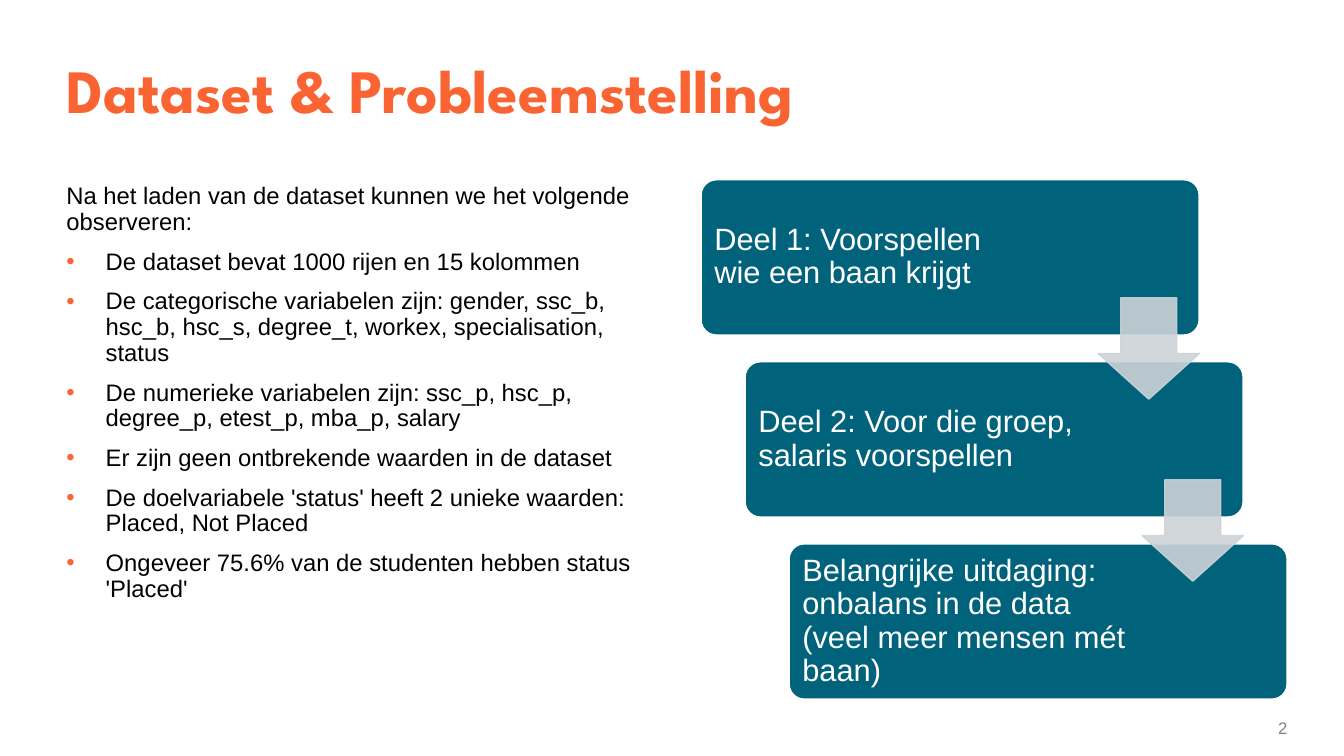
from lxml import etree
from pptx import Presentation, util as u
from pptx.dml.color import RGBColor
from pptx.enum import shapes, text
from pptx.oxml.ns import qn

ORANGE = RGBColor(0xFA, 0x64, 0x32)
TEAL = RGBColor(0x00, 0x62, 0x7B)
SILVER = RGBColor(0xCC, 0xD3, 0xD7)
GRAY = RGBColor(0x80, 0x80, 0x80)
BLACK = RGBColor(0, 0, 0)
WHITE = RGBColor(0xFF, 0xFF, 0xFF)

WIDTH, HEIGHT = 13.33, 7.5
MARGIN, COLUMN, GAP = 0.56, 5.82, 0.57
BODY_TOP, BODY_HEIGHT = 1.78, 5.16

INTRO = "Na het laden van de dataset kunnen we het volgende observeren:"
OBSERVATIONS = [
    "De dataset bevat 1000 rijen en 15 kolommen",
    "De categorische variabelen zijn: gender, ssc_b, hsc_b, hsc_s, degree_t, "
    "workex, specialisation, status",
    "De numerieke variabelen zijn: ssc_p, hsc_p, degree_p, etest_p, mba_p, salary",
    "Er zijn geen ontbrekende waarden in de dataset",
    "De doelvariabele 'status' heeft 2 unieke waarden: Placed, Not Placed",
    "Ongeveer 75.6% van de studenten hebben status 'Placed'",
]
# Each step: its text and the width left free on the right, in inches
STEPS = [
    ("Deel 1: Voorspellen wie een baan krijgt", 1.67),
    ("Deel 2: Voor die groep, salaris voorspellen", 1.54),
    ("Belangrijke uitdaging: onbalans in de data (veel meer mensen mét baan)", 1.54),
]


def inches(box):
    return [u.Inches(length) for length in box]


def style(font, size, color, name="Arial", bold=False):
    font.name, font.size, font.bold = name, u.Pt(size), bold
    font.color.rgb = color


def add_bullet(p, color):
    pPr = p._p.get_or_add_pPr()
    pPr.set("marL", str(u.Inches(0.39)))
    pPr.set("indent", str(-u.Inches(0.39)))
    buClr = etree.SubElement(pPr, qn("a:buClr"))
    etree.SubElement(buClr, qn("a:srgbClr"), val=str(color))
    etree.SubElement(pPr, qn("a:buFont"), typeface="Arial")
    etree.SubElement(pPr, qn("a:buChar"), char="•")


def add_block(s, kind, box, color, line_width, adjustments):
    sp = s.shapes.add_shape(kind, *inches(box))
    sp.shadow.inherit = False
    sp.fill.solid()
    sp.fill.fore_color.rgb = color
    sp.line.width = u.Pt(line_width)
    for i, value in enumerate(adjustments):
        sp.adjustments[i] = value
    return sp


def place_title(s, box):
    sp = s.shapes.title
    sp.left, sp.top, sp.width, sp.height = inches(box)
    tf = sp.text_frame
    tf.text = "Dataset & Probleemstelling"
    tf.vertical_anchor = text.MSO_ANCHOR.MIDDLE
    p = tf.paragraphs[0]
    p.alignment, p.line_spacing = text.PP_ALIGN.LEFT, 0.85
    style(p.runs[0].font, 44, ORANGE, "League Spartan", True)


def add_observations(s, box):
    tf = s.shapes.add_textbox(*inches(box)).text_frame
    tf.word_wrap = True
    for i, line in enumerate([INTRO] + OBSERVATIONS):
        p = tf.add_paragraph() if i else tf.paragraphs[0]
        p.text = line
        p.line_spacing, p.space_after = 0.9, u.Pt(5)
        if i:
            p.space_before = u.Pt(5)
            add_bullet(p, ORANGE)
        style(p.runs[0].font, 17, BLACK)


def add_card(s, box, label, free_width):
    sp = add_block(s, shapes.MSO_SHAPE.ROUNDED_RECTANGLE, box, TEAL, 1.5, [0.1])
    sp.line.color.rgb = WHITE
    tf = sp.text_frame
    tf.word_wrap = True
    tf.vertical_anchor = text.MSO_ANCHOR.MIDDLE
    tf.margin_left = tf.margin_top = tf.margin_bottom = u.Inches(0.09)
    tf.margin_right = u.Inches(free_width)
    p = tf.paragraphs[0]
    p.text = label
    p.alignment, p.line_spacing = text.PP_ALIGN.LEFT, 0.9
    style(p.runs[0].font, 22, WHITE)


def add_arrow(s, box):
    sp = add_block(s, shapes.MSO_SHAPE.DOWN_ARROW, box, SILVER, 1, [0.55, 0.45])
    sp.line.color.rgb = SILVER
    for clr in sp._element.spPr.iter(qn("a:srgbClr")):
        etree.SubElement(clr, qn("a:alpha"), val="90000")


def add_staircase(s, box):
    """Cards stepping down to the right, an arrow across each gap."""
    x, y, w, h = box
    card_w, card_h = 0.85 * w, 0.3 * h
    dx, dy = 0.075 * w, 0.35 * h
    side = 0.65 * card_h
    for i, (label, free_width) in enumerate(STEPS):
        add_card(s, (x + i * dx, y + i * dy, card_w, card_h), label, free_width)
    for i in range(len(STEPS) - 1):
        gap_middle = y + i * dy + (card_h + dy) / 2
        add_arrow(s, (x + i * dx + card_w - side, gap_middle - side / 2, side, side))


def add_slide_number(s, box):
    tf = s.shapes.add_textbox(*inches(box)).text_frame
    tf.word_wrap = True
    tf.vertical_anchor = text.MSO_ANCHOR.MIDDLE
    tf.margin_right = 0
    p = tf.paragraphs[0]
    p.text = "2"
    p.alignment = text.PP_ALIGN.RIGHT
    style(p.runs[0].font, 12, GRAY)


def main():
    prs = Presentation()
    prs.slide_width, prs.slide_height = inches((WIDTH, HEIGHT))
    s = prs.slides.add_slide(prs.slide_layouts.get_by_name("Title Only"))
    right_column = MARGIN + COLUMN + GAP
    place_title(s, (MARGIN, 0.33, 2 * COLUMN + GAP, 1.22))
    add_observations(s, (MARGIN, BODY_TOP, COLUMN, BODY_HEIGHT))
    add_staircase(s, (right_column, BODY_TOP, COLUMN, BODY_HEIGHT))
    add_slide_number(s, (right_column + COLUMN - 0.67, 7.07, 0.67, 0.3))
    prs.save("out.pptx")


if __name__ == "__main__":
    main()
